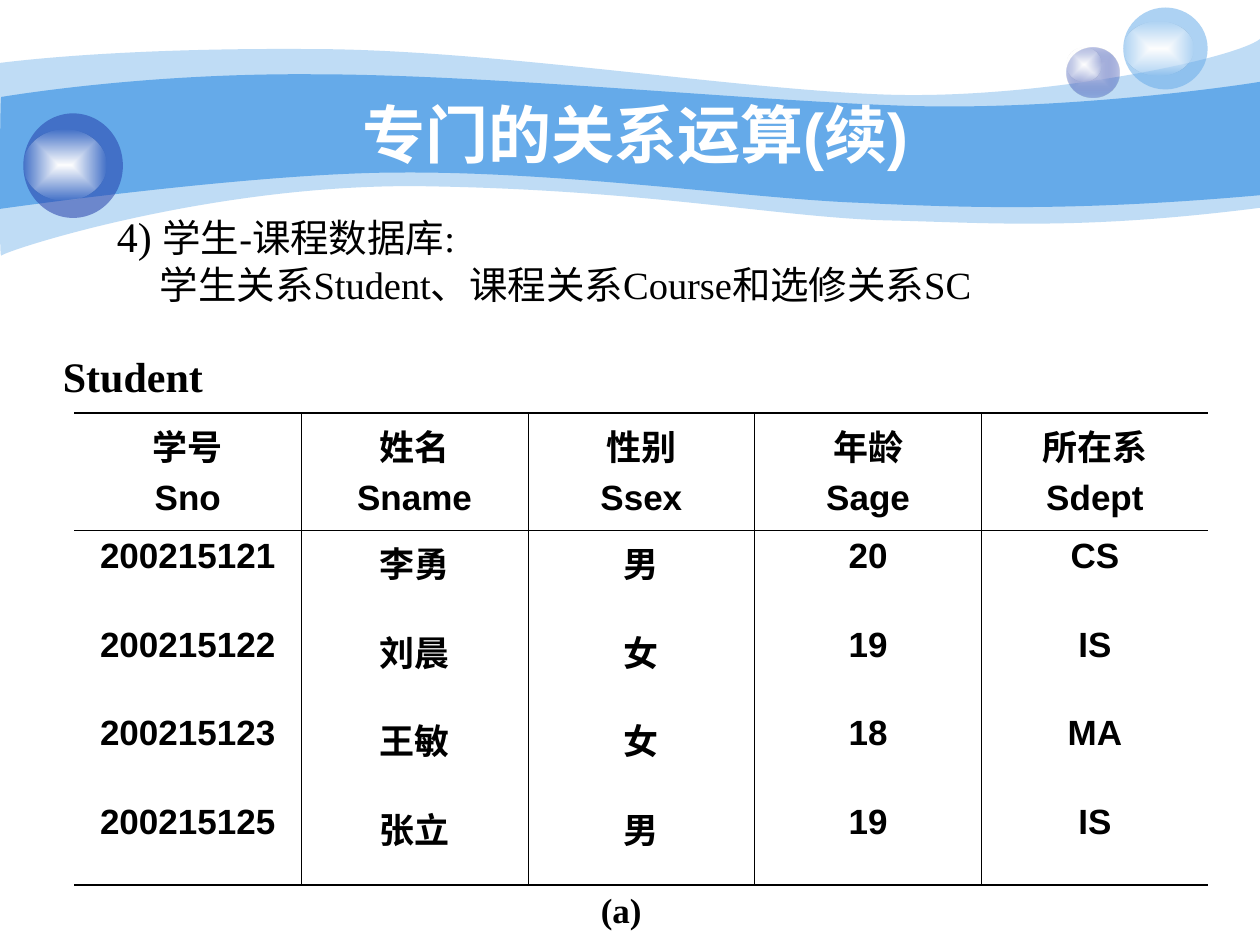
from lxml.etree import SubElement
from pptx import Presentation
from pptx.dml.color import RGBColor
from pptx.enum.shapes import MSO_SHAPE
from pptx.enum.text import MSO_ANCHOR, PP_ALIGN
from pptx.oxml.ns import qn
from pptx.util import Inches, Pt

THEME = {
    "sky": "65AAE9", "navy": "233DA9", "mist": "C7CEE9", "white": "FFFFFF", "ink": "000000",
    "sans": "Arial", "serif": "Times New Roman",
    "title": 36, "label": 24, "body": 22, "cell": 20,
    "cell_gap": 5, "rule": 1.08, "hairline": 0.45,
}

# Content
TITLE = "专门的关系运算(续)"
LIST_NUMBER = "4) "
INTRO = "学生-课程数据库:"
RELATIONS = "学生关系Student、课程关系Course和选修关系SC"
RELATION_NAME = "Student"
CAPTION = "(a)"
HEADINGS = [("学号", "Sno"), ("姓名", "Sname"), ("性别", "Ssex"), ("年龄", "Sage"), ("所在系", "Sdept")]
STUDENTS = [
    ("200215121", "李勇", "男", "20", "CS"),
    ("200215122", "刘晨", "女", "19", "IS"),
    ("200215123", "王敏", "女", "18", "MA"),
    ("200215125", "张立", "男", "19", "IS"),
]

# Layout on a grid of 100 columns by 75 rows: left, top, width, height
COLUMNS, ROWS = 100, 75
WIDTH, HEIGHT = Inches(10), Inches(7.5)
TITLE_AREA = (10, 7.5, 80.8, 6.2)
INTRO_AREA = (8.3, 16.2, 81.9, 8.7)
NAME_AREA = (4.75, 26.5, 11.6, 6.7)
TABLE_AREA = (5.9, 32.8, 90, 37.45)
CAPTION_AREA = (11.4, 70, 75.8, 4.4)
HEADING_HEIGHT = 9.3
HANG, RELATIONS_INDENT = 3.8, 3.4

# Ribbons: colour, opacity, start, then segments; two numbers make a straight edge, six a curve
RIBBONS = [
    ("sky", 41, (0, 5), [
        (2.4, 4.7, 10.7, 3.8, 24.7, 3.9), (38.6, 3.9, 57.5, 7, 69.9, 7.5),
        (82.2, 8, 98, 4.7, 100, 3.1), (100, 16.5),
        (85.8, 18.3, 78.7, 17.7, 70.5, 17.5), (62.2, 17.3, 51.5, 15.1, 34.3, 14.8),
        (17.2, 14.4, 0.4, 19.9, 0.1, 20.3), (-0.1, 20.8, 0, 7.5, 0, 5)]),
    ("sky", 100, (0.1, 7.7), [
        (0.2, 7.7, 11, 5.8, 24.8, 5.9), (38.6, 5.9, 59.5, 8, 71.8, 8.4),
        (84.1, 8.8, 97.6, 6.9, 100, 6.5), (100, 15.5),
        (85.3, 16.8, 76.5, 16.5, 68.2, 16.1), (59.9, 15.8, 44.7, 13.6, 31.7, 13.7),
        (20.3, 13.7, -0.2, 16.6, -0.1, 16.6), (0, 16.6, 0, 7.7, 0.1, 7.7)]),
]
# Bubbles: area, gradient stops of (colour, opacity) from the centre outwards
GLOW = [("white", 100), ("white", 0)]
BUBBLES = [
    ((84.65, 3.75, 4.2, 4), [("mist", 100), ("navy", 31)]),
    ((84.65, 3.75, 2.8, 2.7), GLOW),
    ((89.15, 0.6, 6.7, 6.5), [("sky", 53)]),
    ((89.15, 1.7, 5.6, 4.3), GLOW),
    ((1.85, 9, 7.9, 8.3), [("navy", 53)]),
    ((1.85, 10.3, 6.6, 5.6), GLOW),
]


def across(columns):
    return round(WIDTH * columns / COLUMNS)


def down(rows):
    return round(HEIGHT * rows / ROWS)


def place(area):
    left, top, width, height = area
    return across(left), down(top), across(width), down(height)


def add_color(parent, color, opacity=100):
    node = SubElement(parent, qn("a:srgbClr"), val=THEME[color])
    if opacity < 100:
        SubElement(node, qn("a:alpha"), val=str(opacity * 1000))


def finish(shape, stops):
    """Fill with one translucent colour or a gradient from the centre; no line or shadow."""
    shape.shadow.inherit = False
    shape.line.fill.background()
    shape.fill.background()
    blank = shape.element.spPr.find(qn("a:noFill"))
    if len(stops) == 1:
        fill = blank.makeelement(qn("a:solidFill"))
        add_color(fill, *stops[0])
    else:
        fill = blank.makeelement(qn("a:gradFill"), {"rotWithShape": "1"})
        stop_list = SubElement(fill, qn("a:gsLst"))
        for index, stop in enumerate(stops):
            position = 100000 * index // (len(stops) - 1)
            add_color(SubElement(stop_list, qn("a:gs"), pos=str(position)), *stop)
        center = SubElement(fill, qn("a:path"), {"path": "rect"})
        SubElement(center, qn("a:fillToRect"), {side: "50000" for side in "ltrb"})
    blank.getparent().replace(blank, fill)


def add_ribbon(slide, start, segments):
    """Build the outline through all knots, then bend each group of three into a curve."""
    knots = [pair for segment in segments for pair in zip(segment[::2], segment[1::2])]
    builder = slide.shapes.build_freeform(across(start[0]), down(start[1]))
    builder.add_line_segments([(across(x), down(y)) for x, y in knots], close=True)
    ribbon = builder.convert_to_shape()
    edges = iter(list(ribbon.element.iter(qn("a:lnTo"))))
    for segment in segments:
        group = [next(edges) for _ in segment[::2]]
        if len(group) == 3:
            curve = group[0].makeelement(qn("a:cubicBezTo"))
            group[0].addprevious(curve)
            for edge in group:
                curve.append(edge[0])
                edge.getparent().remove(edge)
    return ribbon


def add_run(paragraph, text, size, font, color="ink", bold=False):
    run = paragraph.add_run()
    run.text = text
    run.font.size = Pt(THEME[size])
    run.font.name = THEME[font]
    run.font.bold = bold
    run.font.color.rgb = RGBColor.from_string(THEME[color])


def add_frame(slide, area, anchor=MSO_ANCHOR.TOP, wrap=True, align=PP_ALIGN.CENTER):
    frame = slide.shapes.add_textbox(*place(area)).text_frame
    frame.word_wrap = wrap
    frame.vertical_anchor = anchor
    frame.paragraphs[0].alignment = align
    return frame


def set_borders(cell, **widths):
    properties = cell._tc.get_or_add_tcPr()
    for side in "LRTB":
        width = widths.get(side)
        line = SubElement(properties, qn("a:ln" + side), w=str(Pt(width or 0)))
        if width:
            add_color(SubElement(line, qn("a:solidFill")), "ink")
        else:
            SubElement(line, qn("a:noFill"))
    cell.fill.background()


def add_student_table(slide):
    records = [HEADINGS] + [[(value,) for value in student] for student in STUDENTS]
    last_row, last_column = len(records) - 1, len(HEADINGS) - 1
    table = slide.shapes.add_table(len(records), len(HEADINGS), *place(TABLE_AREA)).table
    table.first_row = table.horz_banding = False
    record_height = (TABLE_AREA[3] - HEADING_HEIGHT) / len(STUDENTS)
    for column in table.columns:
        column.width = across(TABLE_AREA[2] / len(HEADINGS))
    thick, thin = THEME["rule"], THEME["hairline"]
    for r, record in enumerate(records):
        table.rows[r].height = down(record_height if r else HEADING_HEIGHT)
        for c, lines in enumerate(record):
            cell = table.cell(r, c)
            set_borders(cell, L=thin if c else None, R=thin if c < last_column else None,
                        T={0: thick, 1: thin}.get(r), B={0: thin, last_row: thick}.get(r))
            for index, text in enumerate(lines):
                paragraph = cell.text_frame.add_paragraph() if index else cell.text_frame.paragraphs[0]
                paragraph.alignment = PP_ALIGN.CENTER
                if index:
                    paragraph.space_before = Pt(THEME["cell_gap"])
                add_run(paragraph, text, "cell", "sans", bold=True)


def main():
    deck = Presentation()
    deck.slide_width, deck.slide_height = WIDTH, HEIGHT
    slide = deck.slides.add_slide(deck.slide_layouts[6])

    # Ribbons and bubbles
    for color, opacity, start, segments in RIBBONS:
        finish(add_ribbon(slide, start, segments), [(color, opacity)])
    for area, stops in BUBBLES:
        finish(slide.shapes.add_shape(MSO_SHAPE.OVAL, *place(area)), stops)

    # Title, caption and relation name
    title = add_frame(slide, TITLE_AREA, MSO_ANCHOR.MIDDLE)
    add_run(title.paragraphs[0], TITLE, "title", "sans", "white", True)
    caption = add_frame(slide, CAPTION_AREA)
    add_run(caption.paragraphs[0], CAPTION, "cell", "serif", bold=True)
    name = add_frame(slide, NAME_AREA, MSO_ANCHOR.MIDDLE, wrap=False)
    name.margin_left = name.margin_right = 0
    add_run(name.paragraphs[0], RELATION_NAME, "label", "serif", bold=True)

    # Introduction
    intro = add_frame(slide, INTRO_AREA, align=PP_ALIGN.LEFT)
    numbered, relations = intro.paragraphs[0], intro.add_paragraph()
    for paragraph, margin, indent in ((numbered, HANG, -HANG), (relations, RELATIONS_INDENT, 0)):
        properties = paragraph._p.get_or_add_pPr()
        properties.set("marL", str(across(margin)))
        properties.set("indent", str(across(indent)))
    add_run(numbered, LIST_NUMBER, "label", "serif")
    add_run(numbered, INTRO, "body", "serif")
    add_run(relations, RELATIONS, "body", "serif")

    add_student_table(slide)
    deck.save("out.pptx")


if __name__ == "__main__":
    main()
